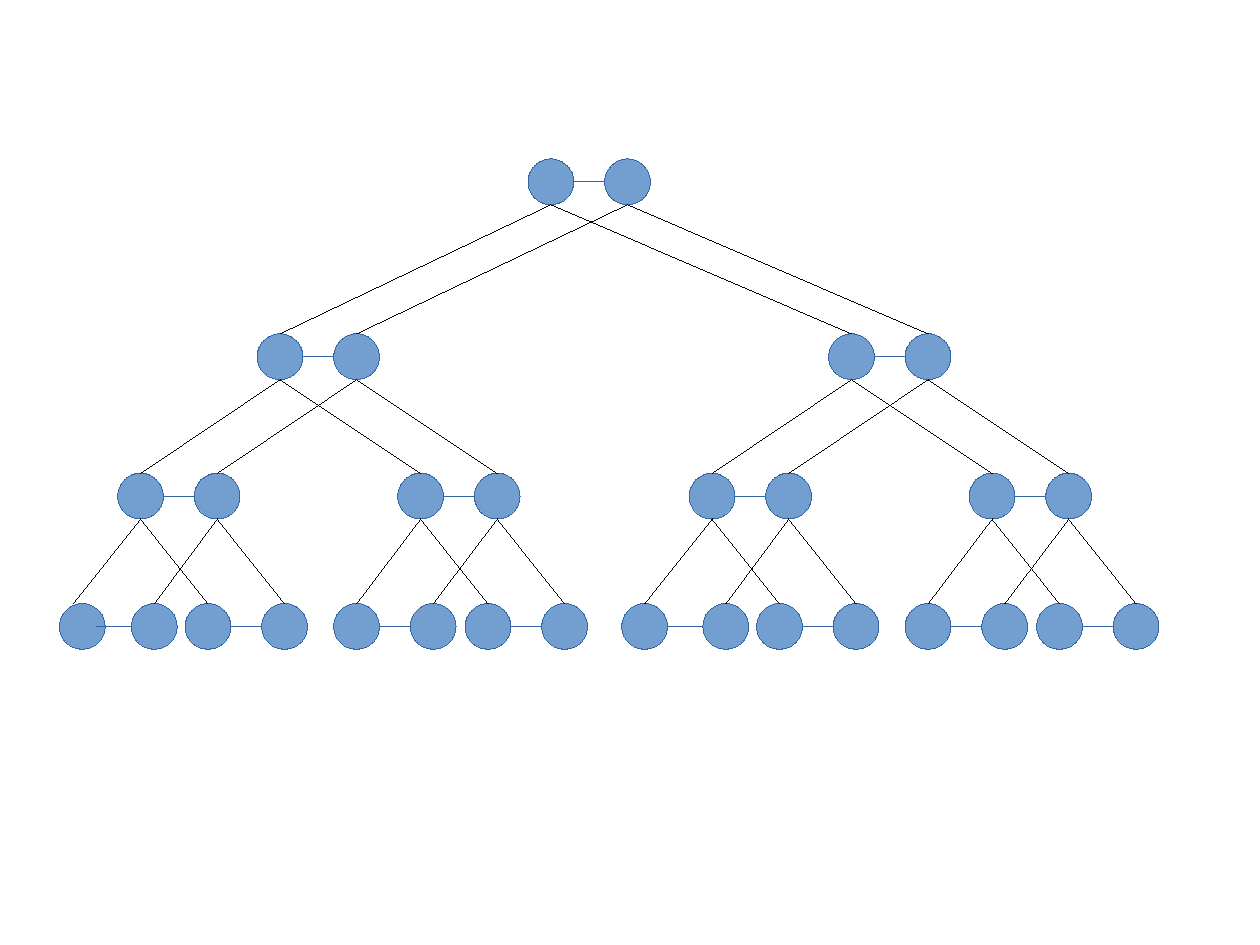
"""Draw a four-level tree of linked node pairs."""
from lxml import etree
from pptx import Presentation
from pptx.dml.color import RGBColor
from pptx.enum.shapes import MSO_CONNECTOR, MSO_SHAPE
from pptx.oxml.ns import qn
from pptx.util import Emu, Inches, Mm

OVAL = MSO_SHAPE.OVAL
LINE = MSO_CONNECTOR.STRAIGHT
BENT = MSO_CONNECTOR.ELBOW
FILL, EDGE, INK = "729FCF", "3465A4", "000000"
THIN = Emu(1)
SIZE, GAP, HALF = 0.4, 0.67, 5
R = SIZE / 2


def color(code):
    return RGBColor.from_string(code)


def join(kind, start, end, code):
    line = slide.shapes.add_connector(kind, *map(Inches, (*start, *end)))
    line.line.color.rgb = color(code)
    line.line.width = THIN
    etree.SubElement(line._element.spPr, qn("a:effectLst"))


deck = Presentation()
deck.slide_width, deck.slide_height = Mm(280), Mm(210)
slide = deck.slides.add_slide(deck.slide_layouts[6])

tops = [1.39, 2.92, 4.14, 5.28]
halves = [[2.45], [1.23, 3.68], [0.72, 1.82, 3.12, 4.27]]
rows = [[(4.82, 4.82 + GAP)]]
for half in halves:
    rows.append([(x + side, x + side + GAP) for side in (0, HALF) for x in half])
rows[3][0] = (0.72, 1.35)
rows[3][4] = (5.64, 6.35)

for top, pairs in zip(tops, rows):
    for pair in pairs:
        for x in pair:
            node = slide.shapes.add_shape(
                OVAL, *map(Inches, (x - R, top, SIZE, SIZE)))
            node.shadow.inherit = False
            node.fill.solid()
            node.fill.fore_color.rgb = color(FILL)
            node.line.color.rgb = color(EDGE)
            node.line.width = THIN

for level, pairs in enumerate(rows):
    y = tops[level] + R
    for index, (left, right) in enumerate(pairs):
        first = level == 3 and index == 0
        start = 0.84 if first else left + R
        join(BENT, (start, y), (right - R, y), EDGE)
        if level:
            above = rows[level - 1][index // 2]
            ends = (0.64 if first else left, right)
            for x, end in zip(above, ends):
                join(LINE, (x, tops[level - 1] + SIZE), (end, tops[level]), INK)

deck.save("out.pptx")
